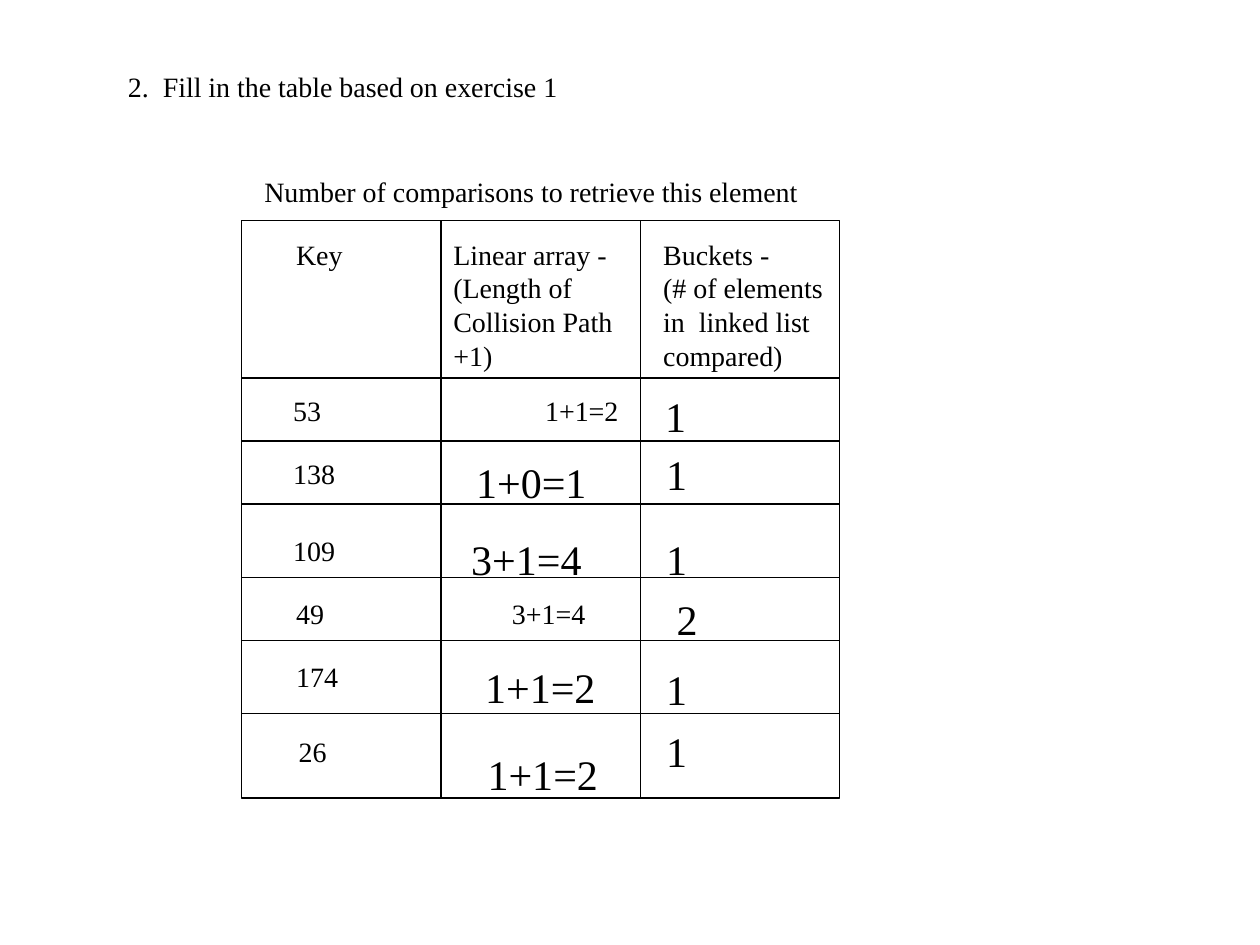
"""Build a worksheet slide comparing key lookups in a linear array and in buckets."""
from dataclasses import dataclass

from lxml import etree
from pptx import Presentation
from pptx.dml.color import RGBColor
from pptx.enum.shapes import MSO_CONNECTOR, MSO_SHAPE
from pptx.enum.text import MSO_AUTO_SIZE
from pptx.oxml.ns import qn
from pptx.util import Cm, Pt

RECTANGLE = MSO_SHAPE.RECTANGLE
STRAIGHT = MSO_CONNECTOR.STRAIGHT
FIT_TEXT = MSO_AUTO_SIZE.SHAPE_TO_FIT_TEXT


@dataclass(frozen=True)
class Theme:
    font: str = "Times New Roman"
    ink: RGBColor = RGBColor(0, 0, 0)
    body: int = 16
    answer: int = 24
    rule: float = 0.75


class Worksheet:
    def __init__(self, page, theme):
        self.page = page
        self.theme = theme

    def ink_line(self, line):
        line.color.rgb = self.theme.ink
        line.width = Pt(self.theme.rule)

    def frame(self, left, top, width, height):
        box = self.page.shapes.add_shape(
            RECTANGLE, Cm(left), Cm(top), Cm(width), Cm(height))
        box.shadow.inherit = False
        box.fill.background()
        self.ink_line(box.line)

    def rule(self, x1, y1, x2, y2):
        rule = self.page.shapes.add_connector(
            STRAIGHT, Cm(x1), Cm(y1), Cm(x2), Cm(y2))
        self.ink_line(rule.line)
        etree.SubElement(rule.element.spPr, qn("a:effectLst"))

    def text(self, lines, left, top, width, height=0.94, size=None, wrap=False, tab=None):
        box = self.page.shapes.add_textbox(Cm(left), Cm(top), Cm(width), Cm(height))
        frame = box.text_frame
        frame.word_wrap = wrap
        frame.auto_size = FIT_TEXT
        for index, line in enumerate(lines):
            para = frame.paragraphs[0] if index == 0 else frame.add_paragraph()
            span = para.add_run()
            span.text = line
            span.font.name = self.theme.font
            span.font.size = Pt(size or self.theme.body)
            span.font.color.rgb = self.theme.ink
            if tab:
                self.tab_stop(para, tab)

    def tab_stop(self, para, position):
        properties = para._p.get_or_add_pPr()
        stops = etree.SubElement(properties, qn("a:tabLst"))
        etree.SubElement(stops, qn("a:tab"), pos=str(Cm(position)), algn="l")

    def answer(self, value, left, top, width):
        self.text([value], left, top, width, 1.27, self.theme.answer, wrap=True)


LEFT, TOP, COLUMN, BOTTOM = 4.87, 4.45, 4.02, 16.09
RIGHT = LEFT + 3 * COLUMN
ROW_LINES = (7.62, 8.89, 10.16, 11.64, 12.91, 14.39)

HEADINGS = (
    (["Linear array -", "(Length of", "Collision Path +1)"], 8.89, 4.45, 2.31, True),
    (["Buckets -", "(# of elements", "in  linked list", "compared)"], 13.12, 3.84, 3, False),
    (["Key"], 5.72, 1.45, 0.94, False),
)
KEYS = (
    ("138", 5.66, 9.07, 1.37),
    ("109", 5.66, 10.64, 1.37),
    ("174", 5.72, 13.18, 1.37),
    ("26", 5.77, 14.68, 1.09),
)
KEYS_WITH_ANSWER = (
    ("53\t1+1=2", 5.66, 7.8, 7.14, 5.08),
    ("49\t3+1=4", 5.72, 11.91, 6.99, 4.35),
)
ANSWERS = (
    ("1", 13.18, 8.92, 3.51),
    ("1", 13.16, 7.75, 3.51),
    ("1+0=1", 9.35, 9.07, 3.58),
    ("3+1=4", 9.25, 10.64, 2.87),
    ("1", 13.18, 10.64, 2.95),
    ("2", 13.39, 11.84, 2.95),
    ("1", 13.18, 13.26, 3.48),
    ("1", 13.18, 14.5, 3.48),
    ("1+1=2", 9.53, 13.21, 2.77),
    ("1+1=2", 9.58, 14.96, 3.12),
)


def main():
    deck = Presentation()
    deck.slide_width, deck.slide_height = Cm(25.4), Cm(19.05)
    sheet = Worksheet(deck.slides.add_slide(deck.slide_layouts[6]), Theme())

    sheet.frame(LEFT, TOP, RIGHT - LEFT, BOTTOM - TOP)
    for column in (1, 2):
        x = LEFT + column * COLUMN
        sheet.rule(x, TOP, x, BOTTOM)
    sheet.rule(RIGHT, TOP, RIGHT, ROW_LINES[-1])
    for y in ROW_LINES:
        sheet.rule(LEFT, y, RIGHT, y)

    sheet.text(["2.  Fill in the table based on exercise 1"], 2.33, 1.27, 9.22)
    sheet.text(["Number of comparisons to retrieve this element"], 5.08, 3.39, 11.43)
    for lines, left, width, height, wrap in HEADINGS:
        sheet.text(lines, left, 4.66, width, height, wrap=wrap)
    for key, left, top, width in KEYS:
        sheet.text([key], left, top, width)
    for line, left, top, width, tab in KEYS_WITH_ANSWER:
        sheet.text([line], left, top, width, wrap=True, tab=tab)
    for answer in ANSWERS:
        sheet.answer(*answer)

    deck.save("out.pptx")


if __name__ == "__main__":
    main()
